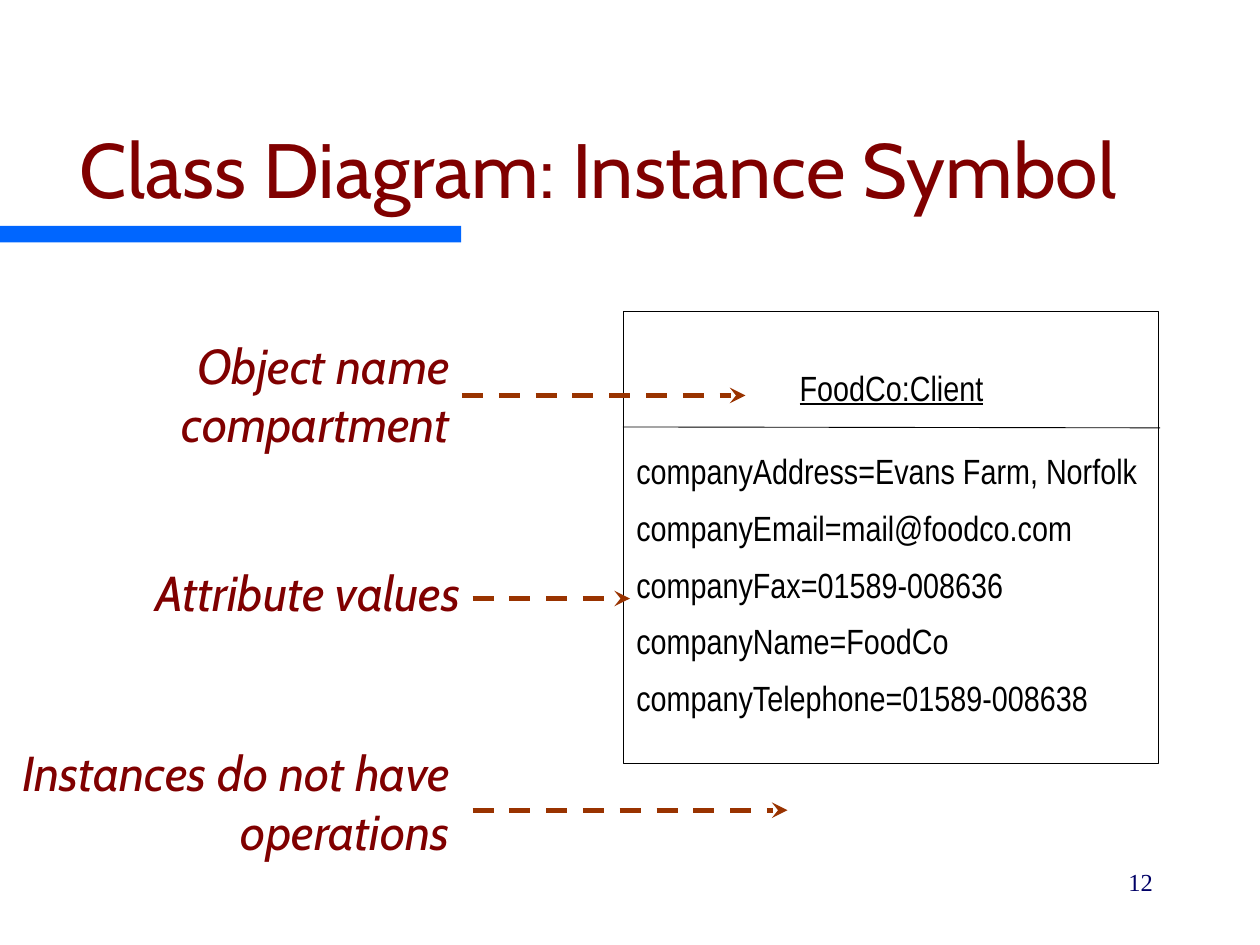
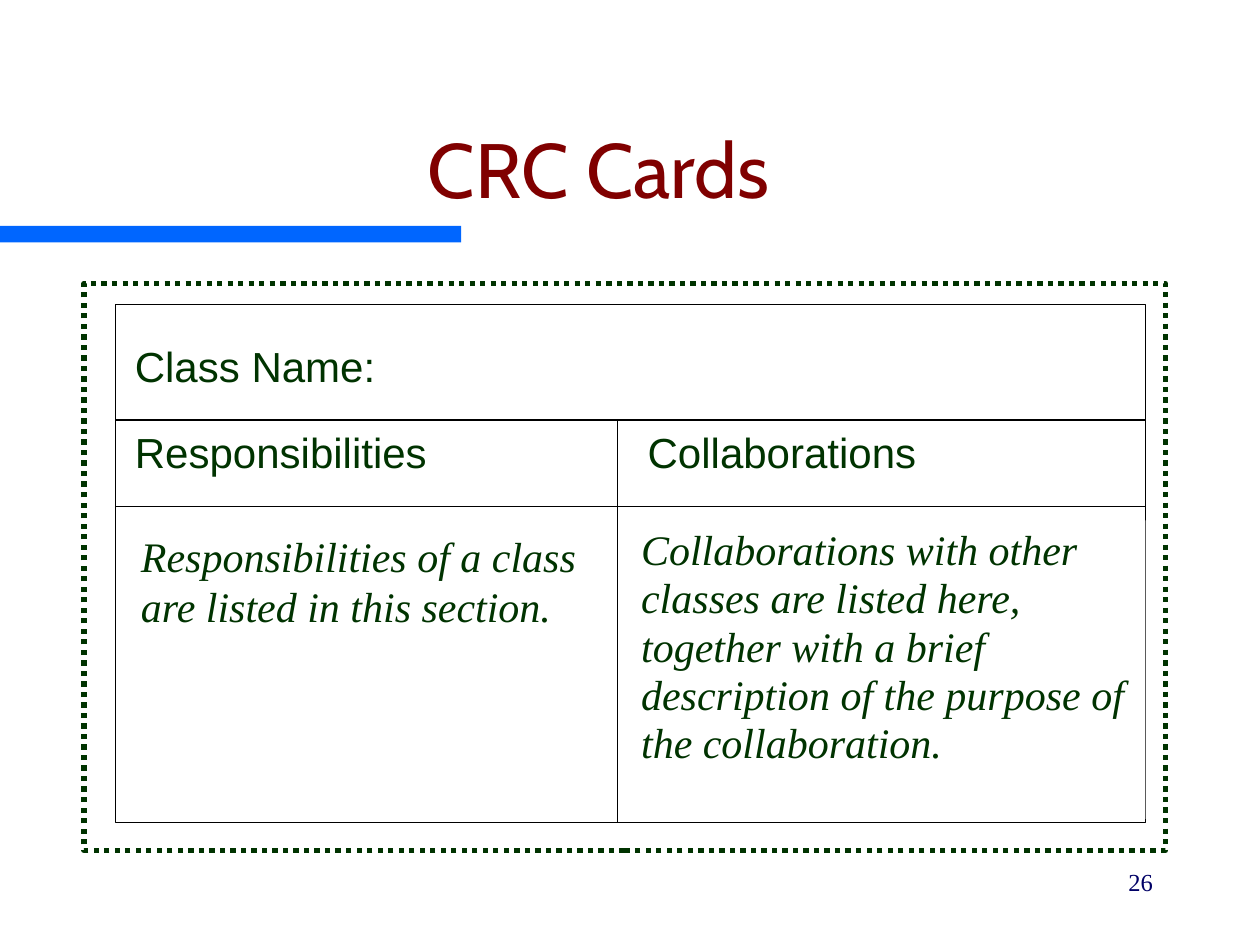
from lxml import etree
from pptx import Presentation
from pptx.dml.color import RGBColor
from pptx.enum.dml import MSO_LINE
from pptx.enum.shapes import MSO_CONNECTOR, MSO_SHAPE
from pptx.enum.text import MSO_ANCHOR, MSO_AUTO_SIZE, PP_ALIGN
from pptx.oxml.ns import qn
from pptx.util import Pt

RECT = MSO_SHAPE.RECTANGLE
STRAIGHT = MSO_CONNECTOR.STRAIGHT
DASH, DOT = MSO_LINE.DASH, MSO_LINE.ROUND_DOT
LEFT, MID, RIGHT = PP_ALIGN.LEFT, PP_ALIGN.CENTER, PP_ALIGN.RIGHT
TOP, BASE = MSO_ANCHOR.TOP, MSO_ANCHOR.BOTTOM
FIXED = MSO_AUTO_SIZE.NONE

COLORS = {
    "white": "FFFFFF", "black": "000000", "blue": "0066FF", "maroon": "800000",
    "rust": "993300", "green": "003300", "navy": "000066",
}
HEAD, SANS, NARROW, SERIF = "Cabin", "Arial", "Arial Narrow", "Times New Roman"


def tint(name):
    return RGBColor.from_string(COLORS[name])


def write(shape, text, font=SANS, size=24, color="green", align=LEFT, anchor=TOP,
          italic=False, under=False, wrap=True, pad=(7.2, 3.6), before=0, lead=1.0):
    frame = shape.text_frame
    frame.word_wrap, frame.auto_size = wrap, FIXED
    frame.vertical_anchor = anchor
    frame.margin_left = frame.margin_right = Pt(pad[0])
    frame.margin_top = frame.margin_bottom = Pt(pad[1])
    para = frame.paragraphs[0]
    para.alignment, para.space_before, para.line_spacing = align, Pt(before), lead
    run = para.add_run()
    run.text = text
    face = run.font
    face.name, face.size, face.color.rgb = font, Pt(size), tint(color)
    face.italic, face.underline = italic, under


class Deck:
    """Holds the shared style and the slide being drawn; lengths are in points."""

    def __init__(self):
        self.prs = Presentation()
        self.prs.slide_width, self.prs.slide_height = Pt(720), Pt(540)

    def start(self, title, number):
        layout = self.prs.slide_layouts[5]
        self.slide = self.prs.slides.add_slide(layout)
        self.shapes = self.slide.shapes
        head = self.shapes.title
        head.left, head.top, head.width, head.height = map(Pt, (18, 36, 648, 90))
        write(head, title, font=HEAD, size=44, color="maroon", align=MID, anchor=BASE)
        self.rect(0, 129, 263.5, 9.5, fill="blue")
        self.text(516, 492, 150, 36, str(number), font=SERIF, size=14,
                  color="navy", align=RIGHT, before=8.8)

    def rect(self, x, y, w, h, fill=None, line=None, width=0.75, dash=None):
        shape = self.shapes.add_shape(RECT, Pt(x), Pt(y), Pt(w), Pt(h))
        shape.shadow.inherit = False
        if fill:
            shape.fill.solid()
            shape.fill.fore_color.rgb = tint(fill)
        else:
            shape.fill.background()
        if line:
            self.stroke(shape, line, width, dash)
        else:
            shape.line.fill.background()
        return shape

    def text(self, x, y, w, h, text, **style):
        box = self.shapes.add_textbox(Pt(x), Pt(y), Pt(w), Pt(h))
        write(box, text, **style)

    def stroke(self, shape, color, width, dash=None):
        shape.line.color.rgb = tint(color)
        shape.line.width = Pt(width)
        if dash:
            shape.line.dash_style = dash

    def line(self, x, y, to_x, to_y, color="black", width=0.75, dash=None):
        link = self.shapes.add_connector(STRAIGHT, Pt(x), Pt(y), Pt(to_x), Pt(to_y))
        self.stroke(link, color, width, dash)
        etree.SubElement(link.element.spPr, qn("a:effectLst"))
        return link

    def arrow(self, x, y, to_x):
        link = self.line(x, y, to_x, y, color="rust", width=3, dash=DASH)
        etree.SubElement(link.line._get_or_add_ln(), qn("a:tailEnd"), type="stealth")


def draw_symbol(deck):
    deck.start("Class Diagram: Instance Symbol", 12)
    plain = dict(font=NARROW, size=20, color="black", wrap=False, pad=(0, 0))
    deck.text(457, 209.5, 105, 24, "FoodCo:Client", align=MID, under=True, **plain)
    deck.rect(356, 178, 306, 258.5, line="black", width=0.5)
    deck.line(356, 244, 663, 244.5, width=0.5)

    values = [
        "companyAddress=Evans Farm, Norfolk",
        "companyEmail=mail@foodco.com",
        "companyFax=01589-008636",
        "companyName=FoodCo",
        "companyTelephone=01589-008638",
    ]
    for row, value in enumerate(values):
        deck.text(363.6, 257 + 32.4 * row, 287, 24, value, **plain)

    notes = [
        ("Object name compartment", (18, 188, 246, 75), (264, 226, 426)),
        ("Attribute values", (24, 318, 246, 41), (270, 342, 360)),
        ("Instances do not have operations", (0, 421, 264, 75), (270, 463, 450)),
    ]
    for note, box, arrow in notes:
        deck.text(*box, note, font=HEAD, size=28, color="maroon",
                  align=RIGHT, italic=True, before=17.5)
        deck.arrow(*arrow)


def draw_cards(deck):
    deck.start("CRC Cards", 26)
    left, top, right, base = 66, 174, 654.5, 470
    split, rows = 353, (240, 289.3)
    deck.rect(48, 162, 618, 324, fill="white", line="green", width=3, dash=DOT)
    deck.rect(left, top, right - left, base - top, fill="white", line="black")
    for y in rows:
        deck.line(left, y, right, y)

    deck.text(70, 191, 160, 49, "Class Name:")
    deck.text(70, rows[0], 206, 49, "Responsibilities")
    deck.text(363, rows[0], 184, 49, "Collaborations")

    bodies = [
        ((73.5, 299.5, 277, 167), 1.0,
         "Responsibilities of a class are listed in this section."),
        ((359.3, 297.4, 295.2, 170.6), 0.96,
         "Collaborations with other classes are listed here, together with "
         "a brief description of the purpose of the collaboration."),
    ]
    for box, lead, text in bodies:
        write(deck.rect(*box, fill="white"), text, font=SERIF, italic=True, lead=lead)
    deck.line(split, rows[0], split, base)


def main():
    deck = Deck()
    draw_symbol(deck)
    draw_cards(deck)
    deck.prs.save("out.pptx")


if __name__ == "__main__":
    main()
